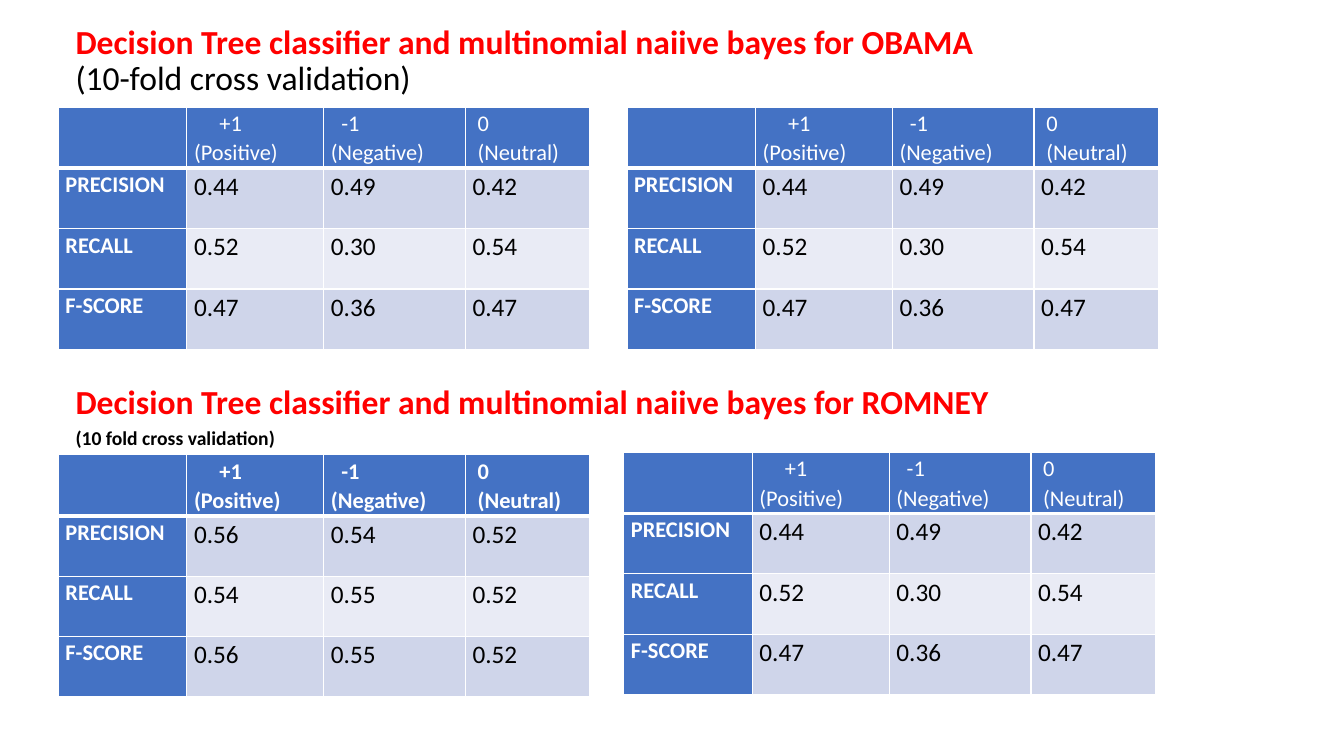
import copy

import pptx
import pptx.dml.color
import pptx.enum.text
import pptx.oxml
import pptx.oxml.ns
import pptx.util
from pptx.util import Cm

RED = pptx.dml.color.RGBColor(0xFF, 0x00, 0x00)
BLACK = pptx.dml.color.RGBColor(0x00, 0x00, 0x00)
WHITE = pptx.dml.color.RGBColor(0xFF, 0xFF, 0xFF)
BLUE = pptx.dml.color.RGBColor(0x44, 0x72, 0xC4)
BAND_DARK = pptx.dml.color.RGBColor(0xCF, 0xD5, 0xEA)
BAND_LIGHT = pptx.dml.color.RGBColor(0xE9, 0xEB, 0xF5)

COLUMNS = [3.24, 3.45, 3.57, 3.14]
ROWS = [1.54, 1.52, 1.52, 1.52]
HEADERS = [("", 0), ("+1\v(Positive)", 0.64), ("-1\v(Negative)", 0.26), (" 0\v (Neutral)", 0)]
MEASURES = ["PRECISION", "RECALL", "F-SCORE"]
BASE_SCORES = [("0.44", "0.49", "0.42"), ("0.52", "0.30", "0.54"), ("0.47", "0.36", "0.47")]
ROMNEY_SCORES = [("0.56", "0.54", "0.52"), ("0.54", "0.55", "0.52"), ("0.56", "0.55", "0.52")]


def write(p, text, size=24, color=BLACK, bold=False):
    for i, line in enumerate(text.split("\v")):
        if i:
            p.add_line_break()
            p._p[-1].append(copy.deepcopy(r._r.rPr))
        r = p.add_run()
        r.text = line
        r.font.name = "Calibri"
        r.font.size = pptx.util.Pt(size)
        r.font.bold = bold
        r.font.color.rgb = color


def format_paragraph(p, spacing, before=0, after=0, left=0, indent=0):
    p.line_spacing = spacing
    p.space_before = pptx.util.Pt(before)
    p.space_after = pptx.util.Pt(after)
    pPr = p._p.get_or_add_pPr()
    pPr.set("marL", str(Cm(left)))
    pPr.set("indent", str(Cm(indent)))


def add_heading(tf, p, before):
    p.level = 1
    format_paragraph(p, 0.9, before=before, left=1.27)
    pPr = p._p.get_or_add_pPr()
    pPr.append(pptx.oxml.parse_xml(f"<a:buNone {pptx.oxml.ns.nsdecls('a')}/>"))


def set_borders(cell, bottom):
    tcPr = cell._tc.get_or_add_tcPr()
    for side, width in (("L", 1), ("R", 1), ("T", 1), ("B", bottom)):
        tcPr.append(pptx.oxml.parse_xml(
            f'<a:ln{side} {pptx.oxml.ns.nsdecls("a")} w="{pptx.util.Pt(width)}">'
            f'<a:solidFill><a:srgbClr val="{WHITE}"/></a:solidFill></a:ln{side}>'))


def fill_cell(cell, text, fill, bottom=1, indent=0, **font):
    set_borders(cell, bottom)
    cell.fill.solid()
    cell.fill.fore_color.rgb = fill
    cell.margin_left = cell.margin_right = Cm(0.18)
    cell.margin_top = Cm(0.03)
    cell.margin_bottom = 0
    if text:
        p = cell.text_frame.paragraphs[0]
        format_paragraph(p, 1.07, after=8, indent=indent)
        write(p, text, **font)


def add_score_table(s, left, top, scores, bold_header=False):
    frame = s.shapes.add_table(len(ROWS), len(COLUMNS), Cm(left), Cm(top),
                               Cm(sum(COLUMNS)), Cm(sum(ROWS)))
    table = frame.table
    for column, width in zip(table.columns, COLUMNS):
        column.width = Cm(width)
    for row, height in zip(table.rows, ROWS):
        row.height = Cm(height)
    for c, (header, indent) in enumerate(HEADERS):
        fill_cell(table.cell(0, c), header, BLUE, bottom=3, indent=indent,
                  size=16, color=WHITE, bold=bold_header)
    for r, (measure, values) in enumerate(zip(MEASURES, scores), 1):
        fill_cell(table.cell(r, 0), measure, BLUE, size=16, color=WHITE, bold=True)
        for c, value in enumerate(values, 1):
            fill_cell(table.cell(r, c), value, BAND_DARK if r % 2 else BAND_LIGHT, size=18)


def add_headings(s):
    sp = s.placeholders[1]
    sp.left, sp.top, sp.width, sp.height = Cm(0.38), Cm(0.51), Cm(31.98), Cm(16.97)
    tf = sp.text_frame
    tf.word_wrap = True
    tf.auto_size = pptx.enum.text.MSO_AUTO_SIZE.NONE
    p = tf.paragraphs[0]
    add_heading(tf, p, 5)
    write(p, "Decision Tree classifier and multinomial naiive bayes for OBAMA \v", color=RED, bold=True)
    write(p, "(10-fold cross validation)")
    p = tf.add_paragraph()
    add_heading(tf, p, 205.5)
    write(p, "Decision Tree classifier and multinomial naiive bayes for ROMNEY", color=RED, bold=True)
    p = tf.add_paragraph()
    add_heading(tf, p, 5)
    write(p, "(10 fold cross validation)", size=14, bold=True)


def main():
    prs = pptx.Presentation()
    prs.slide_width, prs.slide_height = Cm(33.87), Cm(19.05)
    s = prs.slides.add_slide(prs.slide_layouts[1])
    title = s.shapes.title.element
    title.getparent().remove(title)
    add_headings(s)
    add_score_table(s, 1.47, 2.7, BASE_SCORES)
    add_score_table(s, 1.47, 11.46, ROMNEY_SCORES, bold_header=True)
    add_score_table(s, 15.8, 2.7, BASE_SCORES)
    add_score_table(s, 15.72, 11.4, BASE_SCORES)
    prs.save("out.pptx")


if __name__ == "__main__":
    main()
